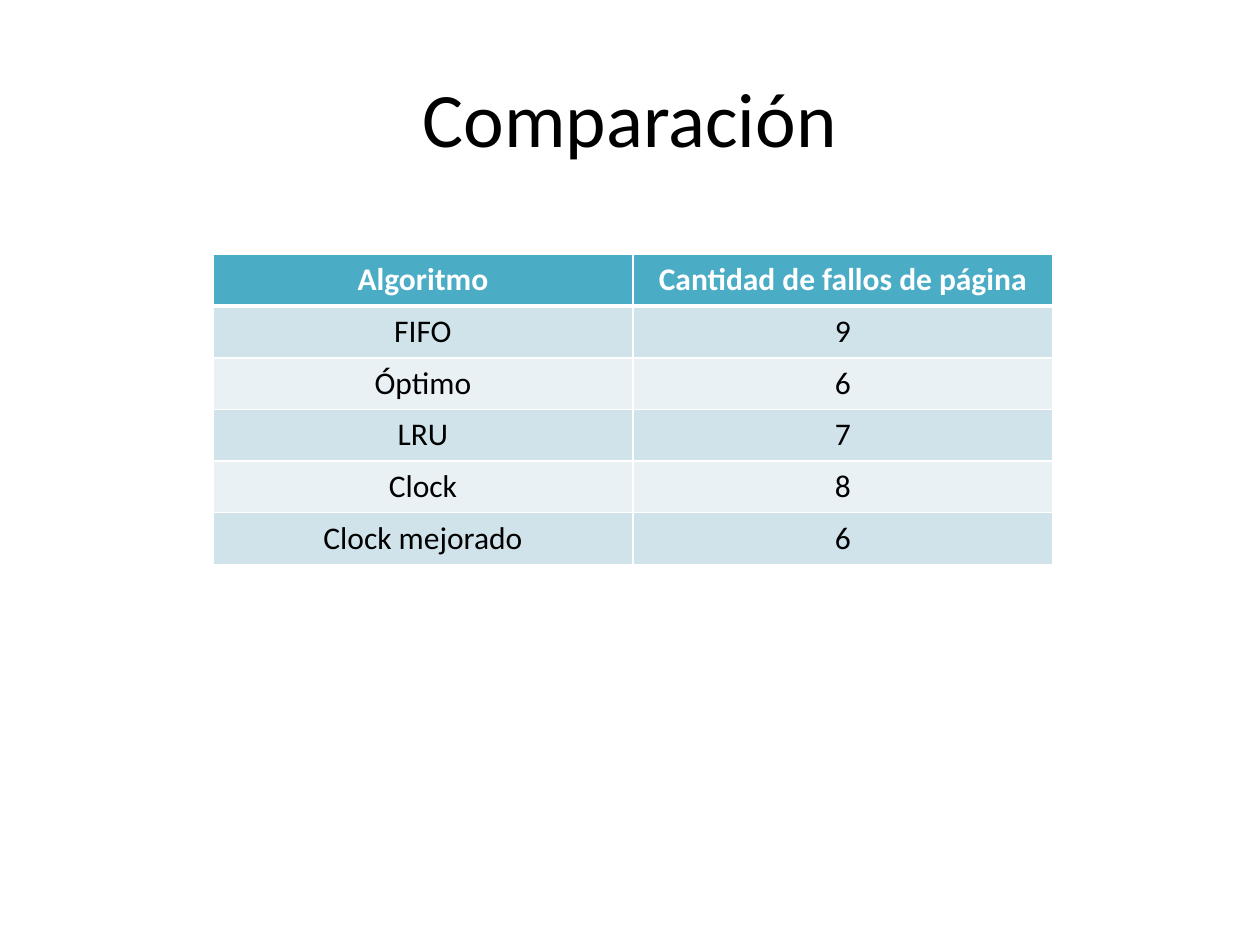
from lxml import etree
from pptx import Presentation
from pptx.dml.color import RGBColor
from pptx.enum.text import MSO_ANCHOR, PP_ALIGN
from pptx.oxml.ns import qn
from pptx.util import Inches, Pt

CENTER = PP_ALIGN.CENTER
TOP, MIDDLE = MSO_ANCHOR.TOP, MSO_ANCHOR.MIDDLE
WIDE, HIGH = Inches(10), Inches(7.5)
COLORS = {"text": "000000", "white": "FFFFFF", "head": "4BACC6",
          "odd": "D0E3EA", "even": "E9F1F5"}
ROWS = [
    ("Algoritmo", "Cantidad de fallos de página"),
    ("FIFO", "9"),
    ("Óptimo", "6"),
    ("LRU", "7"),
    ("Clock", "8"),
    ("Clock mejorado", "6"),
]


def rgb(name):
    return RGBColor.from_string(COLORS[name])


def write(frame, text, size=18, color="text", bold=False, anchor=TOP):
    frame.word_wrap = True
    frame.vertical_anchor = anchor
    para = frame.paragraphs[0]
    para.alignment = CENTER
    run = para.add_run()
    run.text = text
    font = run.font
    font.name, font.size, font.bold = "Calibri", Pt(size), bold
    font.color.rgb = rgb(color)


def add_title(slide, text):
    box = slide.shapes.add_textbox(
        int(WIDE * 0.05), int(HIGH * 0.04), int(WIDE * 0.9), Inches(1.25))
    write(box.text_frame, text, size=44, anchor=MIDDLE)


def add_edges(cell, top=1, bottom=1):
    """Draw white borders, with widths in points; call before the fill."""
    props = cell._tc.get_or_add_tcPr()
    for side, width in (("L", 1), ("R", 1), ("T", top), ("B", bottom)):
        line = etree.SubElement(props, qn(f"a:ln{side}"), w=str(Pt(width)))
        fill = etree.SubElement(line, qn("a:solidFill"))
        etree.SubElement(fill, qn("a:srgbClr"), val=COLORS["white"])


def add_table(slide, rows, left, top, col, row):
    count = len(rows[0])
    table = slide.shapes.add_table(
        len(rows), count, left, top, col * count, row * len(rows)).table
    for column in table.columns:
        column.width = col
    for i, texts in enumerate(rows):
        head = i == 0
        shade = "head" if head else "odd" if i % 2 else "even"
        for j, text in enumerate(texts):
            cell = table.cell(i, j)
            add_edges(cell, top=3 if i == 1 else 1, bottom=3 if head else 1)
            cell.fill.solid()
            cell.fill.fore_color.rgb = rgb(shade)
            write(cell.text_frame, text, bold=head,
                  color="white" if head else "text")


def main():
    deck = Presentation()
    deck.slide_width, deck.slide_height = WIDE, HIGH
    slide = deck.slides.add_slide(deck.slide_layouts[6])
    add_title(slide, "Comparación")
    add_table(slide, ROWS, left=Inches(1.69), top=Inches(2.02),
              col=WIDE // 3, row=Inches(0.41))
    deck.save("out.pptx")


if __name__ == "__main__":
    main()
